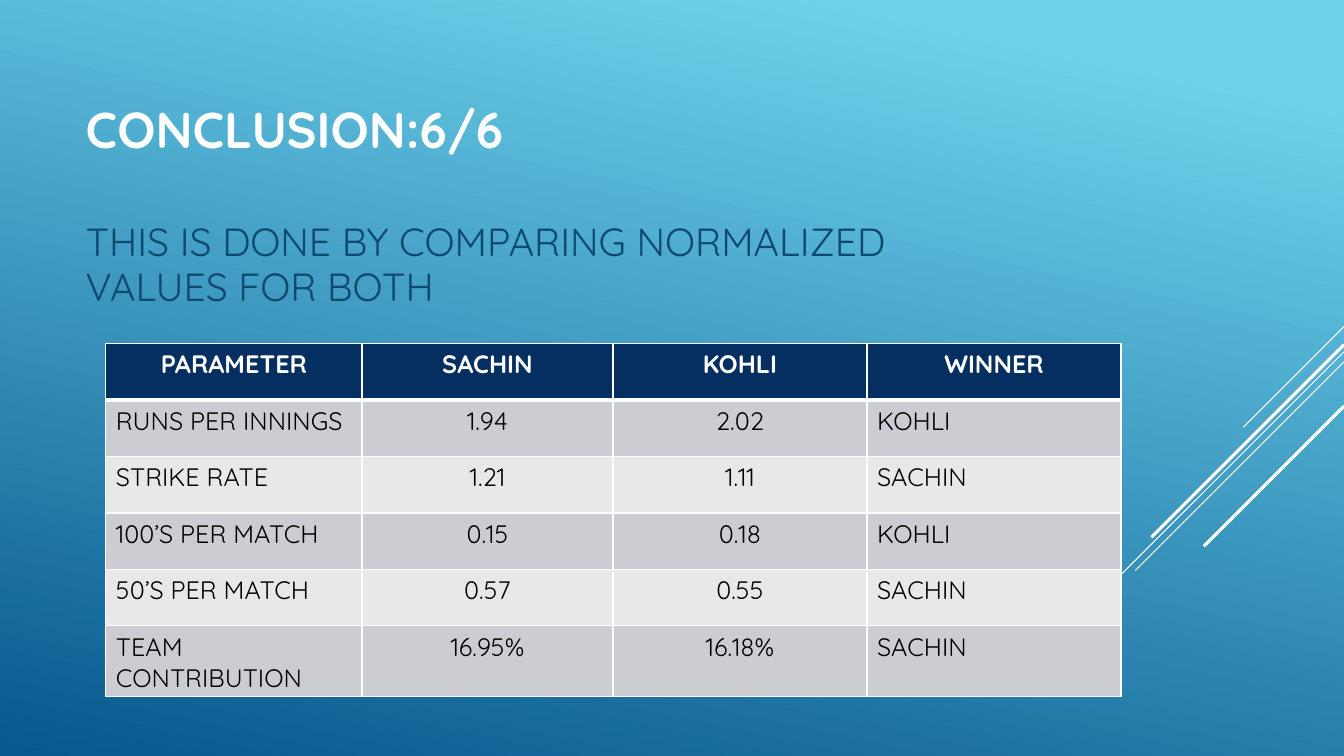
from lxml.etree import SubElement
from pptx import Presentation
from pptx.dml.color import RGBColor
from pptx.enum.shapes import MSO_CONNECTOR
from pptx.enum.text import MSO_ANCHOR, PP_ALIGN
from pptx.oxml.ns import qn
from pptx.util import Inches, Pt

FONT = "Quicksand"
COLORS = {
    "sky": "6ED2EB",
    "deep": "06588E",
    "white": "FFFFFF",
    "subtitle": "0F496F",
    "header": "052F61",
    "dark_band": "CCCDD2",
    "light_band": "E7E8EA",
    "black": "000000",
}
TITLE = "CONCLUSION:6/6"
SUBTITLE = "THIS IS DONE BY COMPARING NORMALIZED VALUES FOR BOTH"
ROWS = [
    ("PARAMETER", "SACHIN", "KOHLI", "WINNER"),
    ("RUNS PER INNINGS", "1.94", "2.02", "KOHLI"),
    ("STRIKE RATE", "1.21", "1.11", "SACHIN"),
    ("100’S PER MATCH", "0.15", "0.18", "KOHLI"),
    ("50’S PER MATCH", "0.57", "0.55", "SACHIN"),
    ("TEAM CONTRIBUTION", "16.95%", "16.18%", "SACHIN"),
]
COLUMN_WIDTHS = (2.54, 2.49, 2.52, 2.52)
ROW_HEIGHT = 0.56
SLIDE_WIDTH = 13.33
DIAGONALS = [
    (3.24, 1.0, 0.75),
    (3.49, 3.26, 0.75),
    (3.59, 2.07, 0.75),
    (3.42, 1.91, 2.25),
    (4.03, 1.39, 2.25),
]


def color(name):
    return RGBColor.from_string(COLORS[name])


def style(para, size, name, bold=False, align=PP_ALIGN.LEFT):
    para.alignment = align
    para.font.name = FONT
    para.font.size = Pt(size)
    para.font.bold = bold
    para.font.color.rgb = color(name)


def fill_box(box, text, place, size, name, bold=False):
    box.left, box.top, box.width, box.height = map(Inches, place)
    frame = box.text_frame
    frame.word_wrap = True
    frame.vertical_anchor = MSO_ANCHOR.MIDDLE
    frame.text = text
    para = frame.paragraphs[0]
    style(para, size, name, bold)
    return para


def set_borders(cell, bottom_width, top_width):
    props = cell._tc.get_or_add_tcPr()
    widths = {"lnL": 1, "lnR": 1, "lnT": top_width, "lnB": bottom_width}
    for index, (side, width) in enumerate(widths.items()):
        line = props.makeelement(qn(f"a:{side}"), {"w": str(Pt(width))})
        solid = SubElement(line, qn("a:solidFill"))
        SubElement(solid, qn("a:srgbClr"), val=COLORS["white"])
        props.insert(index, line)


deck = Presentation()
deck.slide_width, deck.slide_height = Inches(SLIDE_WIDTH), Inches(7.5)
page = deck.slides.add_slide(deck.slide_layouts[5])

backdrop = page.background.fill
backdrop.gradient()
backdrop.gradient_angle = 360 - 102
for stop, name, position in zip(backdrop.gradient_stops, ("sky", "deep"), (0.1, 1)):
    stop.color.rgb = color(name)
    stop.position = position

for top, reach, weight in DIAGONALS:
    ends = (SLIDE_WIDTH, top, SLIDE_WIDTH - reach, top + reach)
    diagonal = page.shapes.add_connector(MSO_CONNECTOR.STRAIGHT, *map(Inches, ends))
    diagonal.line.color.rgb = color("white")
    diagonal.line.width = Pt(weight)
    SubElement(diagonal._element.spPr, qn("a:effectLst"))

fill_box(page.shapes.title, TITLE, (0.75, 0.6, 9.33, 1.35), 36, "white", True)
subtitle_box = page.shapes.add_textbox(0, 0, 0, 0)
subtitle = fill_box(subtitle_box, SUBTITLE, (0.75, 1.86, 9.33, 1.55), 28, "subtitle")
subtitle.line_spacing = 0.95
subtitle.space_before, subtitle.space_after = Pt(5.6), Pt(6)

table = page.shapes.add_table(
    len(ROWS), len(COLUMN_WIDTHS), Inches(1.05), Inches(3.41),
    Inches(sum(COLUMN_WIDTHS)), Inches(ROW_HEIGHT * len(ROWS)),
).table
for column, width in zip(table.columns, COLUMN_WIDTHS):
    column.width = Inches(width)
for r, values in enumerate(ROWS):
    table.rows[r].height = Inches(ROW_HEIGHT)
    is_header = r == 0
    band = "header" if is_header else "dark_band" if r % 2 else "light_band"
    for c, value in enumerate(values):
        cell = table.cell(r, c)
        cell.text = value
        cell.fill.solid()
        cell.fill.fore_color.rgb = color(band)
        centred = is_header or c in (1, 2)
        style(cell.text_frame.paragraphs[0], 18, "white" if is_header else "black",
              is_header, PP_ALIGN.CENTER if centred else PP_ALIGN.LEFT)
        set_borders(cell, 3 if is_header else 1, 3 if r == 1 else 1)

deck.save("out.pptx")
